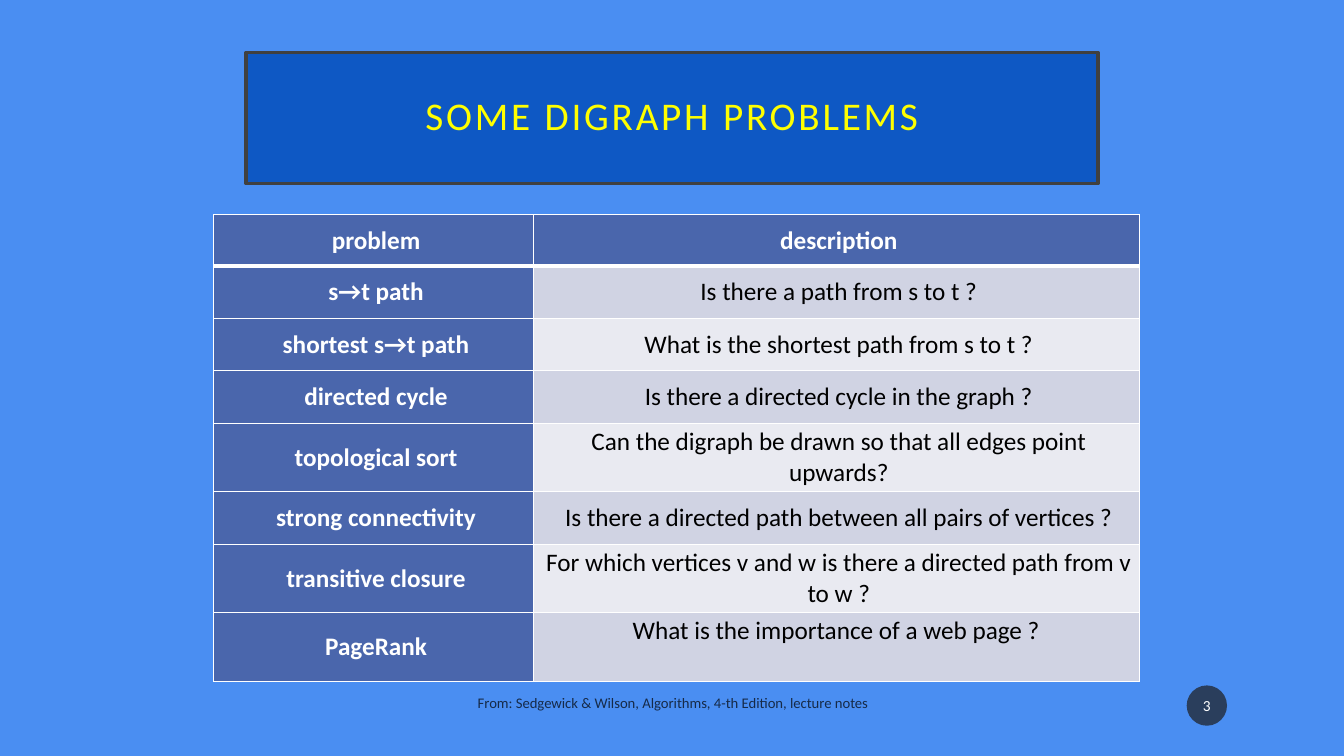
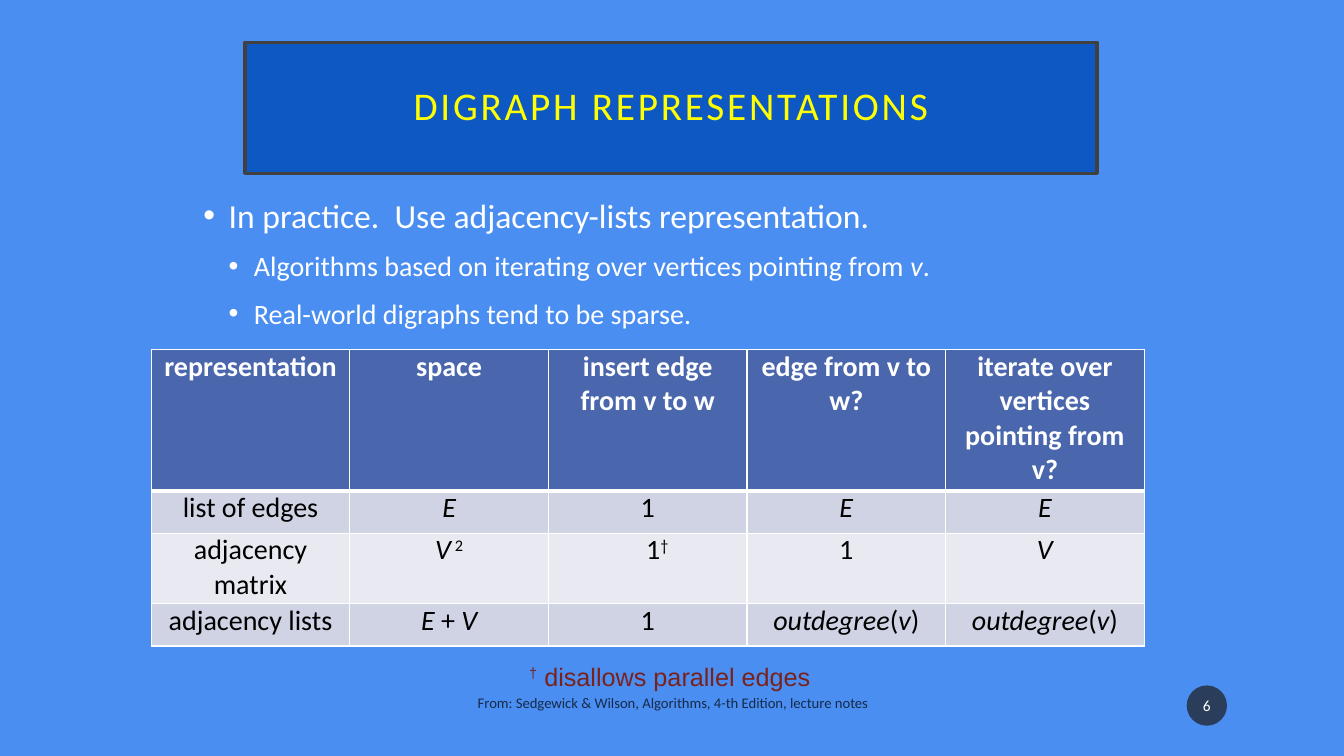
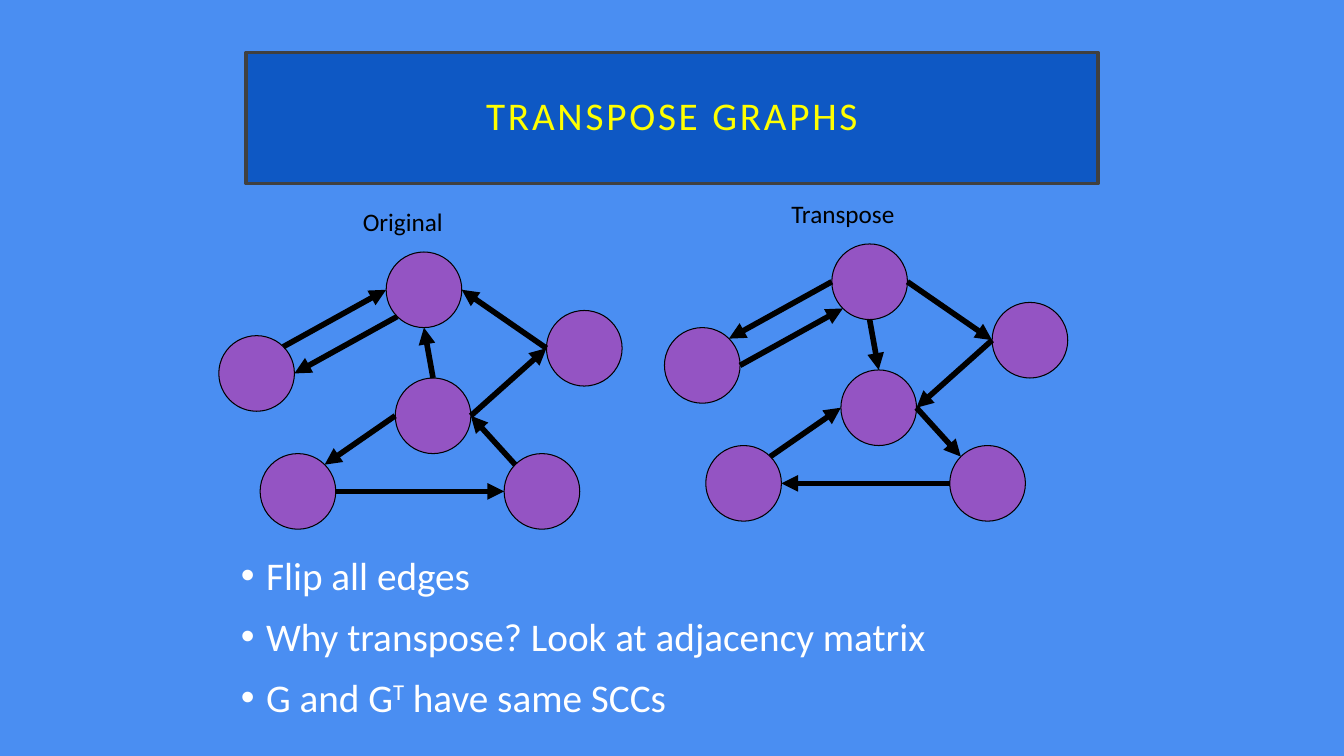
import math
from dataclasses import dataclass, replace
from typing import Any, Optional, Sequence, Union

import lxml.etree
import pptx
import pptx.dml.color
import pptx.enum.shapes
import pptx.enum.text
import pptx.oxml.ns
import pptx.util

Inches = pptx.util.Inches
RGBColor = pptx.dml.color.RGBColor
ALIGN = pptx.enum.text.PP_ALIGN
ANCHOR = pptx.enum.text.MSO_ANCHOR
SHAPE = pptx.enum.shapes.MSO_SHAPE

BACKGROUND = RGBColor(0x4A, 0x8E, 0xF2)
TITLE_FILL = RGBColor(0x0E, 0x58, 0xC4)
TITLE_LINE = RGBColor(0x40, 0x40, 0x40)
YELLOW = RGBColor(0xFF, 0xFF, 0x00)
WHITE = RGBColor(0xFF, 0xFF, 0xFF)
BLACK = RGBColor(0x00, 0x00, 0x00)
BADGE_FILL = RGBColor(0x1D, 0x1D, 0x1D)
HEADER_FILL = RGBColor(0x4A, 0x66, 0xAC)
BAND_FILLS = (RGBColor(0xD0, 0xD3, 0xE3), RGBColor(0xE9, 0xEA, 0xF1))
NODE_FILL = RGBColor(0x94, 0x54, 0xC3)
NOTE_RED = RGBColor(0x79, 0x22, 0x1C)

SOURCE_LINE = "From: Sedgewick & Wilson, Algorithms, 4-th Edition, lecture notes"


@dataclass(frozen=True)
class Style:
    size: float
    color: RGBColor
    bold: bool = False
    name: str = "Calibri"
    tracking: float = 0
    opacity: int = 100


@dataclass(frozen=True)
class Span:
    text: str
    italic: bool = False
    raised: bool = False


@dataclass(frozen=True)
class Line:
    """One paragraph: its spans, bullet level and left indent in inches."""
    spans: tuple[Span, ...]
    level: int = 0
    indent: float = 0


@dataclass(frozen=True)
class Box:
    left: float
    top: float
    width: float
    height: float

    def lengths(self) -> tuple[int, ...]:
        return tuple(Inches(n) for n in (self.left, self.top, self.width, self.height))


@dataclass(frozen=True)
class TableLook:
    size: float
    margins: tuple[float, float]
    anchor: Any
    header_column: bool = False
    indent: float = 0


@dataclass(frozen=True)
class Edge:
    """An arrow between two nodes, leaving and arriving at compass angles."""
    start: str
    start_angle: int
    end: str
    end_angle: int


Text = Union[str, Line]

TITLE_STYLE = Style(28, YELLOW, tracking=2)
SOURCE_STYLE = Style(10.5, BLACK, opacity=70)
BADGE_STYLE = Style(11, WHITE)
NOTE_STYLE = Style(18, NOTE_RED, name="Arial")
CAPTION_STYLE = Style(18, BLACK)

NODE_SIZE = 0.75
NODES = {
    "west": (2.17, 3.33), "top": (3.83, 2.5), "southwest": (2.58, 4.5),
    "southeast": (5, 4.5), "middle": (3.92, 3.75), "east": (5.42, 3.08),
}
EDGES = (
    Edge("southwest", 0, "southeast", 180),
    Edge("southeast", 135, "middle", 0),
    Edge("middle", 180, "southwest", 45),
    Edge("west", 45, "top", 180),
    Edge("top", 225, "west", 0),
    Edge("middle", 90, "top", 270),
    Edge("east", 180, "top", 0),
    Edge("middle", 0, "east", 180),
)


def line(*spans: Union[str, Span], level: int = 0, indent: float = 0) -> Line:
    return Line(tuple(Span(s) if isinstance(s, str) else s for s in spans), level, indent)


def italic(text: str) -> Span:
    return Span(text, italic=True)


def raised(text: str) -> Span:
    return Span(text, raised=True)


def assign(target: Any, formats: dict[str, Any]) -> None:
    for name, value in formats.items():
        setattr(target, name, value)


def add_xml(parent: Any, tag: str, **attributes: str) -> Any:
    return lxml.etree.SubElement(parent, pptx.oxml.ns.qn(tag), attributes)


def set_opacity(element: Any, percent: int) -> None:
    for color in element.iter(pptx.oxml.ns.qn("a:srgbClr")):
        add_xml(color, "a:alpha", val=str(percent * 1000))


def write(para: Any, text: Text, style: Style) -> None:
    for part in (line(text) if isinstance(text, str) else text).spans:
        span = para.add_run()
        span.text = part.text
        assign(span.font, {"name": style.name, "size": pptx.util.Pt(style.size),
                           "bold": style.bold, "italic": part.italic})
        span.font.color.rgb = style.color
        properties = span._r.get_or_add_rPr()
        if part.raised:
            properties.set("baseline", "30000")
        if style.tracking:
            properties.set("spc", str(int(style.tracking * 100)))
        if style.opacity < 100:
            set_opacity(properties, style.opacity)


def set_frame(frame: Any, margins: tuple[float, float], anchor: Any, wrap: bool = True) -> None:
    side, end = (Inches(n) for n in margins)
    assign(frame, {"margin_left": side, "margin_right": side, "margin_top": end,
                   "margin_bottom": end, "vertical_anchor": anchor, "word_wrap": wrap})


def add_figure(page: Any, preset: Any, box: Box, fill: RGBColor,
               outline: Optional[RGBColor] = None, weight: float = 0) -> Any:
    shape = page.shapes.add_shape(preset, *box.lengths())
    shape.shadow.inherit = False
    shape.fill.solid()
    shape.fill.fore_color.rgb = fill
    if outline is None:
        shape.line.fill.background()
    else:
        shape.line.color.rgb = outline
        shape.line.width = pptx.util.Pt(weight)
    return shape


def add_label(page: Any, box: Box, text: Text, style: Style,
              anchor: Any = ANCHOR.TOP, wrap: bool = False) -> None:
    frame = page.shapes.add_textbox(*box.lengths()).text_frame
    set_frame(frame, (0.1, 0.05), anchor, wrap)
    if not wrap:
        frame.auto_size = pptx.enum.text.MSO_AUTO_SIZE.SHAPE_TO_FIT_TEXT
    write(frame.paragraphs[0], text, style)


def add_page(deck: Any, title: str, left: float = 2.44, top: float = 0.52) -> Any:
    page = deck.slides.add_slide(deck.slide_layouts[6])
    page.background.fill.solid()
    page.background.fill.fore_color.rgb = BACKGROUND
    banner = add_figure(page, SHAPE.RECTANGLE, Box(left, top, 8.45, 1.3),
                        TITLE_FILL, TITLE_LINE, 2.5)
    set_frame(banner.text_frame, (0.2, 0.2), ANCHOR.MIDDLE)
    para = banner.text_frame.paragraphs[0]
    assign(para, {"alignment": ALIGN.CENTER, "line_spacing": 0.9})
    write(para, title, TITLE_STYLE)
    return page


def add_footer(page: Any, number: int) -> None:
    add_label(page, Box(4.64, 6.8, 4.44, 0.35), SOURCE_LINE, SOURCE_STYLE, ANCHOR.MIDDLE, True)
    badge = add_figure(page, SHAPE.OVAL, Box(11.77, 6.8, 0.4, 0.4), BADGE_FILL)
    set_opacity(badge._element.spPr, 70)
    set_frame(badge.text_frame, (0.02, 0.05), ANCHOR.MIDDLE)
    para = badge.text_frame.paragraphs[0]
    para.alignment = ALIGN.CENTER
    write(para, str(number), BADGE_STYLE)


def add_bullets(page: Any, box: Box, lines: Sequence[Line], sizes: Sequence[float]) -> None:
    """Write bulleted lines; sizes holds the text size of each level."""
    frame = page.shapes.add_textbox(*box.lengths()).text_frame
    set_frame(frame, (0.1, 0.05), ANCHOR.TOP)
    for index, item in enumerate(lines):
        para = frame.add_paragraph() if index else frame.paragraphs[0]
        para.level = item.level
        if index:
            para.space_before = pptx.util.Pt(10)
        properties = para._p.get_or_add_pPr()
        properties.set("marL", str(Inches(0.25 * (item.level + 1))))
        properties.set("indent", str(Inches(-0.25)))
        add_xml(add_xml(properties, "a:buClr"), "a:srgbClr", val=str(WHITE))
        add_xml(properties, "a:buFont", typeface="Arial")
        add_xml(properties, "a:buChar", char="•")
        write(para, item, Style(sizes[item.level], WHITE))


def add_borders(cell: Any, row: int) -> None:
    """Rule the cell in white, with a heavy rule under the header row."""
    weights = {"a:lnL": 1, "a:lnR": 1, "a:lnT": 3 if row == 1 else 1,
               "a:lnB": 3 if row == 0 else 1}
    properties = cell._tc.get_or_add_tcPr()
    for tag, weight in weights.items():
        rule = add_xml(properties, tag, w=str(pptx.util.Pt(weight)))
        add_xml(add_xml(rule, "a:solidFill"), "a:srgbClr", val=str(WHITE))


def add_grid(page: Any, box: Box, widths: Sequence[float], heights: Sequence[float],
             rows: Sequence[Sequence[Text]], look: TableLook) -> Any:
    table = page.shapes.add_table(len(rows), len(widths), *box.lengths()).table
    assign(table, {"first_row": False, "horz_banding": False})
    for column, width in zip(table.columns, widths):
        column.width = Inches(width)
    side, end = (Inches(n) for n in look.margins)
    body = Style(look.size, BLACK)
    header = replace(body, color=WHITE, bold=True)
    for r, (texts, height) in enumerate(zip(rows, heights)):
        table.rows[r].height = Inches(height)
        for c, text in enumerate(texts):
            cell = table.cell(r, c)
            is_header = r == 0 or (look.header_column and c == 0)
            assign(cell, {"margin_left": side, "margin_right": side, "margin_top": end,
                          "margin_bottom": end, "vertical_anchor": look.anchor})
            add_borders(cell, r)
            cell.fill.solid()
            cell.fill.fore_color.rgb = HEADER_FILL if is_header else BAND_FILLS[(r - 1) % 2]
            para = cell.text_frame.paragraphs[0]
            para.alignment = ALIGN.CENTER
            indent = text.indent if isinstance(text, Line) else look.indent
            para._p.get_or_add_pPr().set("marL", str(Inches(indent)))
            write(para, text, header if is_header else body)
    return table


def add_arrow(page: Any, start: tuple[float, float], end: tuple[float, float],
              tip: str) -> None:
    arrow = page.shapes.add_connector(pptx.enum.shapes.MSO_CONNECTOR.STRAIGHT,
                                      *(Inches(n) for n in start + end))
    arrow.line.color.rgb = BLACK
    arrow.line.width = pptx.util.Pt(4)
    add_xml(arrow.line._get_or_add_ln(), tip, type="triangle")
    add_xml(arrow._element.spPr, "a:effectLst")


def add_graph(page: Any, dx: float = 0, dy: float = 0, flipped: bool = False) -> None:
    """Draw the digraph moved by (dx, dy), with every edge reversed if flipped."""
    def rim(node: str, angle: int) -> tuple[float, float]:
        left, top = NODES[node]
        radius, turn = NODE_SIZE / 2, math.radians(angle)
        return (left + dx + radius * (1 + math.cos(turn)),
                top + dy + radius * (1 - math.sin(turn)))

    for left, top in NODES.values():
        add_figure(page, SHAPE.OVAL, Box(left + dx, top + dy, NODE_SIZE, NODE_SIZE),
                   NODE_FILL, BLACK, 0.75)
    for edge in EDGES:
        add_arrow(page, rim(edge.start, edge.start_angle), rim(edge.end, edge.end_angle),
                  "a:headEnd" if flipped else "a:tailEnd")


def build_problems(deck: Any) -> None:
    page = add_page(deck, "SOME DIGRAPH PROBLEMS")
    add_footer(page, 3)
    rows = (
        ("problem", "description"),
        ("s→t path", "Is there a path from s to t ?"),
        ("shortest s→t path", "What is the shortest path from s to t ?"),
        ("directed cycle", "Is there a directed cycle in the graph ?"),
        ("topological sort", "Can the digraph be drawn so that all edges point upwards?"),
        ("strong connectivity", "Is there a directed path between all pairs of vertices ?"),
        ("transitive closure",
         "For which vertices v and w is there a directed path from v to w ?"),
        ("PageRank", line("What is the importance of a web page ?")),
    )
    heights = (0.51, 0.52, 0.52, 0.52, 0.68, 0.52, 0.68, 0.68)
    table = add_grid(page, Box(2.12, 2.13, 9.18, sum(heights)), (3.17, 6.01), heights, rows,
                     TableLook(18, (0.03, 0.03), ANCHOR.MIDDLE, True, 0.05))
    table.cell(7, 1).vertical_anchor = ANCHOR.TOP


def build_representations(deck: Any) -> None:
    page = add_page(deck, "DIGRAPH REPRESENTATIONS", 2.43, 0.42)
    add_bullets(page, Box(1.92, 1.88, 9.24, 1.89), (
        line("In practice.  Use adjacency-lists representation."),
        line("Algorithms based on iterating over vertices pointing from ", italic("v"), ".",
             level=1),
        line("Real-world digraphs tend to be sparse.", level=1),
    ), (24, 20))
    add_footer(page, 6)
    edges, vertices = line(italic("E")), line(italic("V"))
    outdegree = line(italic("outdegree"), "(", italic("v"), ")")
    rows = (
        ("representation", "space", "insert edge from v to w", "edge from v to w?",
         "iterate over vertices pointing from v?"),
        ("list of edges", edges, "1", edges, edges),
        ("adjacency matrix", line(italic("V"), raised(" 2")),
         line("1", raised("†"), indent=0.19), "1", vertices),
        ("adjacency lists", line(italic("E"), " + ", italic("V")), "1", outdegree, outdegree),
    )
    add_grid(page, Box(1.5, 3.47, 9.85, 2.94), (1.97,) * 5, (1.4, 0.42, 0.7, 0.42), rows,
             TableLook(20, (0.07, 0), ANCHOR.TOP))
    add_label(page, Box(5.15, 6.51, 3.03, 0.4),
              line(raised("†"), " disallows parallel edges"), NOTE_STYLE)


def build_transpose(deck: Any) -> None:
    page = add_page(deck, "TRANSPOSE GRAPHS")
    add_graph(page)
    add_graph(page, 4.42, -0.08, flipped=True)
    add_bullets(page, Box(2.29, 5.42, 8.75, 1.83), (
        line("Flip all edges"),
        line("Why transpose? Look at adjacency matrix"),
        line("G and G", raised("T"), " have same SCCs"),
    ), (28,))
    add_label(page, Box(3.5, 2, 1, 0.4), "Original", CAPTION_STYLE)
    add_label(page, Box(7.75, 1.92, 1.23, 0.4), "Transpose", CAPTION_STYLE)


def main() -> None:
    deck = pptx.Presentation()
    assign(deck, {"slide_width": Inches(13.33), "slide_height": Inches(7.5)})
    for build in (build_problems, build_representations, build_transpose):
        build(deck)
    deck.save("out.pptx")


if __name__ == "__main__":
    main()
